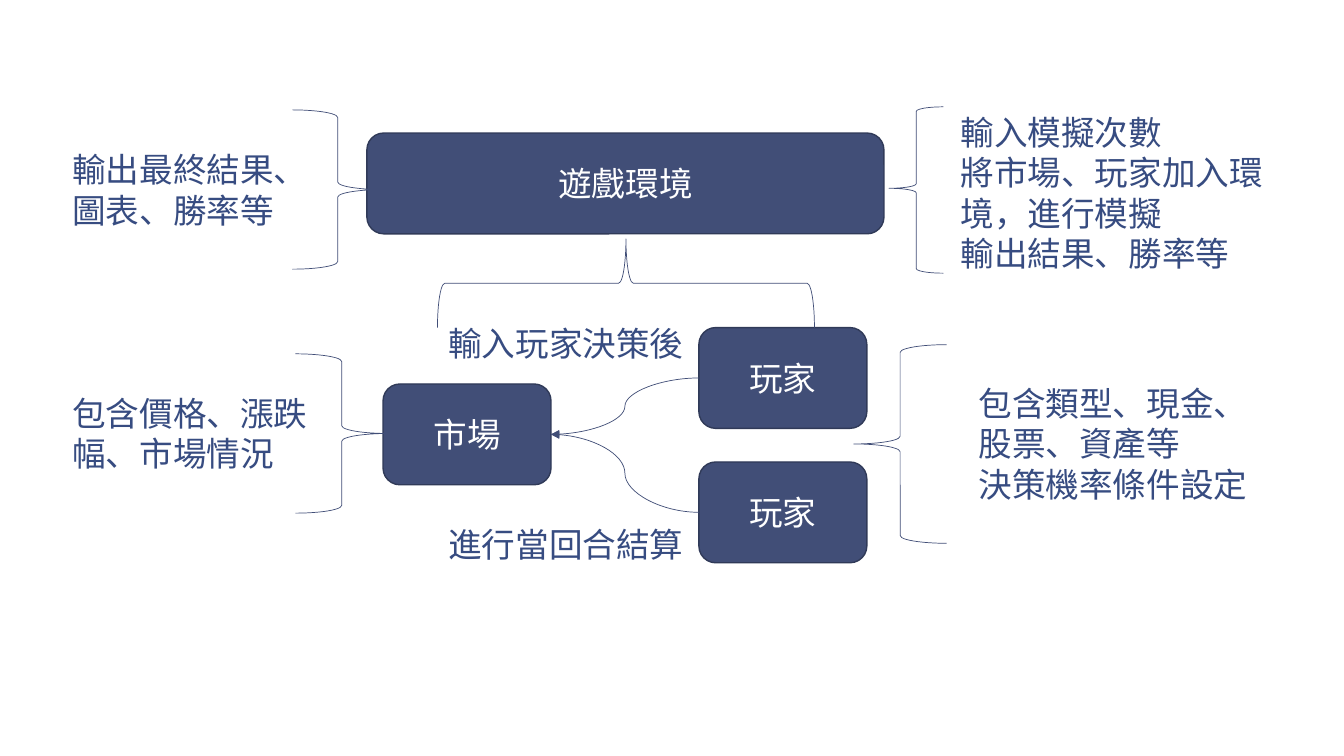
from dataclasses import dataclass

from pptx import Presentation, util as u
from pptx.dml.color import RGBColor
from pptx.enum import shapes, text
from pptx.oxml import ns, parse_xml

NAVY = RGBColor(0x41, 0x4E, 0x77)
EDGE = RGBColor(0x30, 0x3A, 0x58)
INK = RGBColor(0x37, 0x4C, 0x81)
WHITE = RGBColor(0xFF, 0xFF, 0xFF)

FONT = "Arial"
SIZE = u.Pt(24)
CELL = u.Inches(1 / 6)  # the slide is a grid of 80 columns by 45 rows


@dataclass(frozen=True)
class Area:
    column: float
    row: float
    columns: float
    rows: float

    def lengths(self) -> list[int]:
        return [round(n * CELL) for n in (self.column, self.row, self.columns, self.rows)]


@dataclass(frozen=True)
class Block:
    label: str
    area: Area


@dataclass(frozen=True)
class Brace:
    area: Area
    rotation: int = 0
    point: float = 0.5


@dataclass(frozen=True)
class Note:
    lines: tuple[str, ...]
    area: Area
    gap: int = 0  # points before every line but the first


ENVIRONMENT = Block("遊戲環境", Area(21.84, 7.92, 30.78, 6))
MARKET = Block("市場", Area(22.8, 22.86, 10, 6))
PLAYERS = [Block("玩家", Area(41.6, 19.5 + 8 * i, 10, 6)) for i in range(2)]

BRACES = [
    Brace(Area(17.4, 6.54, 5.4, 9.48), rotation=180),
    Brace(Area(52.92, 6.36, 3.24, 9.9), point=0.49),
    Brace(Area(17.58, 21.06, 5.52, 9.48), rotation=180),
    Brace(Area(50.82, 20.52, 5.52, 11.82)),
    Brace(Area(34.62, 5.64, 5.28, 22.44), rotation=90),
]

NOTES = [
    Note(("輸出最終結果、圖表、勝率等",), Area(3.72, 8.58, 15.78, 5.46)),
    Note(("輸入模擬次數", "將市場、玩家加入環境，進行模擬", "輸出結果、勝率等"),
         Area(56.58, 6.36, 20.94, 10.32)),
    Note(("包含價格、漲跌幅、市場情況",), Area(3.72, 23.1, 16.02, 5.46)),
    Note(("輸入玩家決策後", "進行當回合結算"), Area(26.1, 18.9, 16.02, 15.12), gap=115),
    Note(("包含類型、現金、股票、資產等", "決策機率條件設定"),
         Area(57.66, 22.5, 17.28, 7.86)),
]


def add_span(para, words: str, color: RGBColor) -> None:
    span = para.add_run()
    span.text = words
    span.font.name = FONT
    span.font.size = SIZE
    span.font.color.rgb = color


def add_block(page, block: Block):
    box = page.shapes.add_shape(shapes.MSO_SHAPE.ROUNDED_RECTANGLE, *block.area.lengths())
    box.shadow.inherit = False
    box.fill.solid()
    box.fill.fore_color.rgb = NAVY
    box.line.color.rgb = EDGE
    box.line.width = u.Pt(1)
    box.text_frame.vertical_anchor = text.MSO_ANCHOR.MIDDLE
    para = box.text_frame.paragraphs[0]
    para.alignment = text.PP_ALIGN.CENTER
    add_span(para, block.label, WHITE)
    return box


def add_brace(page, brace: Brace) -> None:
    shape = page.shapes.add_shape(shapes.MSO_SHAPE.LEFT_BRACE, *brace.area.lengths())
    shape.shadow.inherit = False
    shape.fill.background()
    shape.line.color.rgb = NAVY
    shape.line.width = u.Pt(0.5)
    shape.rotation = brace.rotation
    shape.adjustments[1] = brace.point


def add_note(page, note: Note) -> None:
    frame = page.shapes.add_textbox(*note.area.lengths()).text_frame
    frame.word_wrap = True
    for i, line in enumerate(note.lines):
        para = frame.add_paragraph() if i else frame.paragraphs[0]
        if i and note.gap:
            para.space_before = u.Pt(note.gap)
        add_span(para, line, INK)


def add_arrow(page, source, target) -> None:
    """Curve from the left side of source to the right side of target."""
    arrow = page.shapes.add_connector(shapes.MSO_CONNECTOR.CURVE, 0, 0, 0, 0)
    arrow.begin_connect(source, 1)
    arrow.end_connect(target, 3)
    arrow.line.color.rgb = NAVY
    arrow.line.width = u.Pt(0.5)
    arrow.line._get_or_add_ln().append(
        parse_xml(f'<a:tailEnd {ns.nsdecls("a")} type="triangle"/>'))
    arrow._element.spPr.append(parse_xml(f'<a:effectLst {ns.nsdecls("a")}/>'))


def main() -> None:
    deck = Presentation()
    deck.slide_width, deck.slide_height = 80 * CELL, 45 * CELL
    page = deck.slides.add_slide(deck.slide_layouts[6])

    add_block(page, ENVIRONMENT)
    market = add_block(page, MARKET)
    for player in PLAYERS:
        add_arrow(page, add_block(page, player), market)
    for brace in BRACES:
        add_brace(page, brace)
    for note in NOTES:
        add_note(page, note)

    deck.save("out.pptx")


if __name__ == "__main__":
    main()
